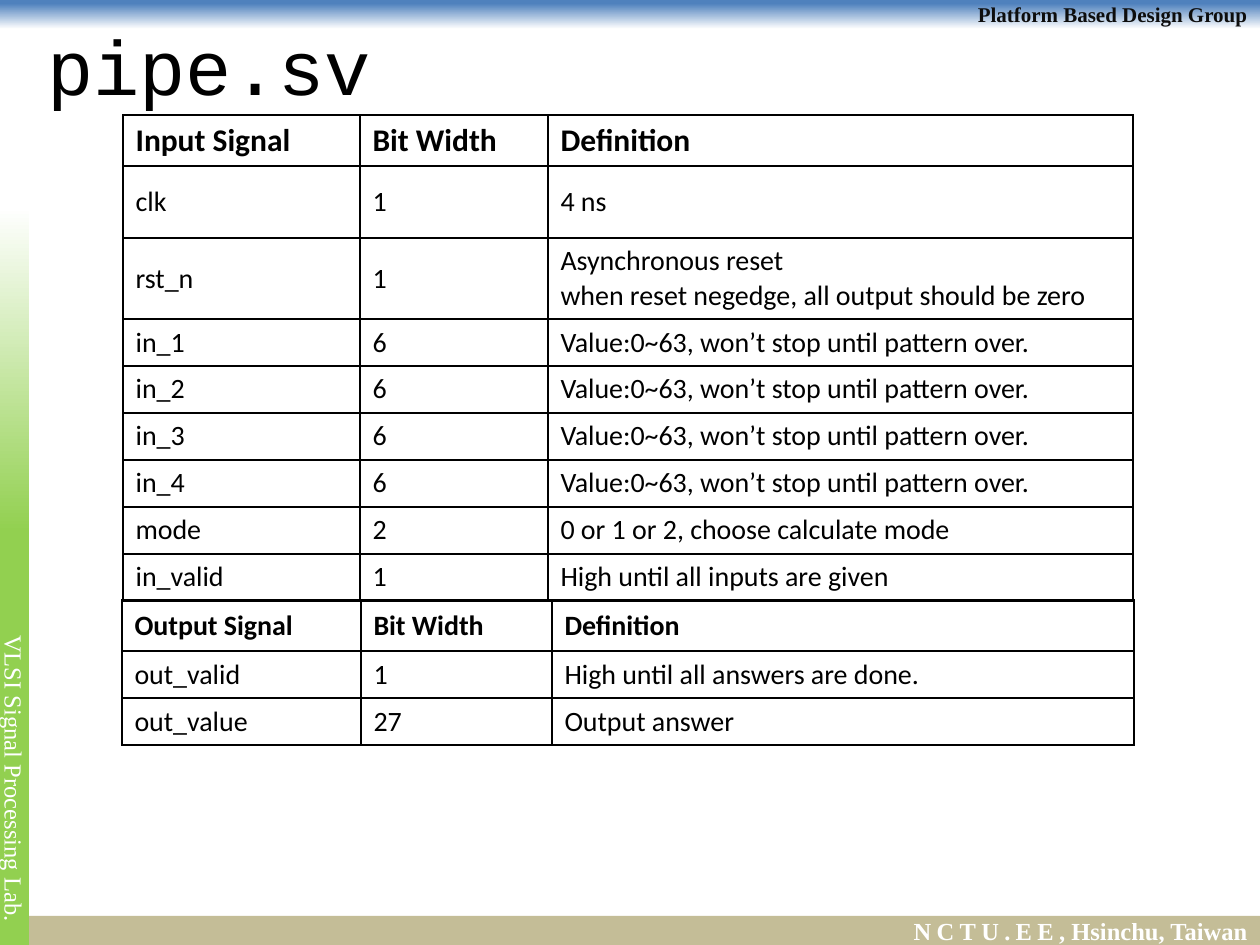
"""Build the pipe.sv signal table slide."""
from lxml import etree
from pptx import Presentation
from pptx import util as u
from pptx.dml.color import RGBColor
from pptx.enum import shapes, text
from pptx.oxml.ns import qn

PX = 914400 / 126
COLORS = {"black": "000000", "white": "FFFFFF", "header": "0D0D0D",
          "blue": "4F81BD", "tan": "C4BD97", "green": "92D050"}
VALUE = "Value:0~63, won’t stop until pattern over."


def px(*lengths):
    return [u.Emu(round(length * PX)) for length in lengths]


def add_run(paragraph, words, size, font, color, bold=False):
    run = paragraph.add_run()
    run.text = words
    run.font.size = u.Pt(size)
    run.font.name = font
    run.font.bold = bold
    run.font.color.rgb = RGBColor.from_string(COLORS[color])
    return run


presentation = Presentation()
presentation.slide_width, presentation.slide_height = px(1260, 945)
slide = presentation.slides.add_slide(presentation.slide_layouts[6])

bars = []
for box in [(0, 0, 1260, 29), (0, 916, 1260, 29), (0, 207, 29, 738)]:
    shape = slide.shapes.add_shape(shapes.MSO_SHAPE.RECTANGLE, *px(*box))
    shape.shadow.inherit = False
    shape.line.fill.background()
    shape.text_frame.vertical_anchor = text.MSO_ANCHOR.MIDDLE
    shape.text_frame.paragraphs[0].alignment = text.PP_ALIGN.RIGHT
    bars.append(shape)
header, footer, sidebar = bars

footer.fill.solid()
footer.fill.fore_color.rgb = RGBColor.from_string(COLORS["tan"])
for shape, color, start, angle in [(header, "blue", 0.12, 270), (sidebar, "green", 0.56, 90)]:
    shape.fill.gradient()
    shape.fill.gradient_angle = angle
    stops = shape.fill.gradient_stops
    for stop, name, position in zip(stops, (color, "white"), (start, 1)):
        stop.color.rgb = RGBColor.from_string(COLORS[name])
        stop.position = position

add_run(header.text_frame.paragraphs[0], "Platform Based Design Group",
        12, "Times New Roman", "header", True)
paragraph = footer.text_frame.paragraphs[0]
spaced = add_run(paragraph, "NCTU.EE", 14, "Times New Roman", "white", True)
spaced.font._element.set("spc", "300")
add_run(paragraph, ", Hsinchu, Taiwan", 14, "Times New Roman", "white", True)

frame = sidebar.text_frame
frame.margin_top = px(417)[0]
frame._txBody.bodyPr.set("vert", "vert")
frame.paragraphs[0].alignment = text.PP_ALIGN.CENTER
add_run(frame.paragraphs[0], "VLSI Signal Processing Lab.", 14, "Times New Roman", "white")

title = slide.shapes.add_textbox(*px(35, 0, 1134, 130))
title.text_frame.word_wrap = True
title.text_frame.vertical_anchor = text.MSO_ANCHOR.MIDDLE
add_run(title.text_frame.paragraphs[0], "pipe.sv", 44, "Courier New", "black")

inputs = [
    ("Input Signal", "Bit Width", "Definition"),
    ("clk", "1", "4 ns"),
    ("rst_n", "1", "Asynchronous reset\nwhen reset negedge, all output should be zero"),
    *[(f"in_{number}", "6", VALUE) for number in range(1, 5)],
    ("mode", "2", "0 or 1 or 2, choose calculate mode"),
    ("in_valid", "1", "High until all inputs are given"),
]
outputs = [
    ("Output Signal", "Bit Width", "Definition"),
    ("out_valid", "1", "High until all answers are done."),
    ("out_value", "27", "Output answer"),
]
tables = [
    (inputs, 123, 115, (237, 188, 585), [51, 72, 81] + [47] * 6, 18),
    (outputs, 122, 600, (239, 191, 582), [51, 47, 47], 16),
]
for rows, left, top, widths, heights, heading_size in tables:
    table = slide.shapes.add_table(len(rows), len(widths),
                                   *px(left, top, sum(widths), sum(heights))).table
    table.horz_banding = False
    for column, width in zip(table.columns, px(*widths)):
        column.width = width
    for row, height in zip(table.rows, px(*heights)):
        row.height = height
    for r, row in enumerate(rows):
        for c, words in enumerate(row):
            cell = table.cell(r, c)
            cell.vertical_anchor = text.MSO_ANCHOR.MIDDLE
            properties = cell._tc.get_or_add_tcPr()
            for side in ("lnL", "lnR", "lnT", "lnB"):
                border = etree.SubElement(properties, qn(f"a:{side}"), w="12700")
                fill = etree.SubElement(border, qn("a:solidFill"))
                etree.SubElement(fill, qn("a:srgbClr"), val=COLORS["black"])
            cell.fill.background()
            for i, line in enumerate(words.split("\n")):
                frame = cell.text_frame
                paragraph = frame.add_paragraph() if i else frame.paragraphs[0]
                add_run(paragraph, line, 16 if r else heading_size, "Calibri", "black", r == 0)

presentation.save("out.pptx")
